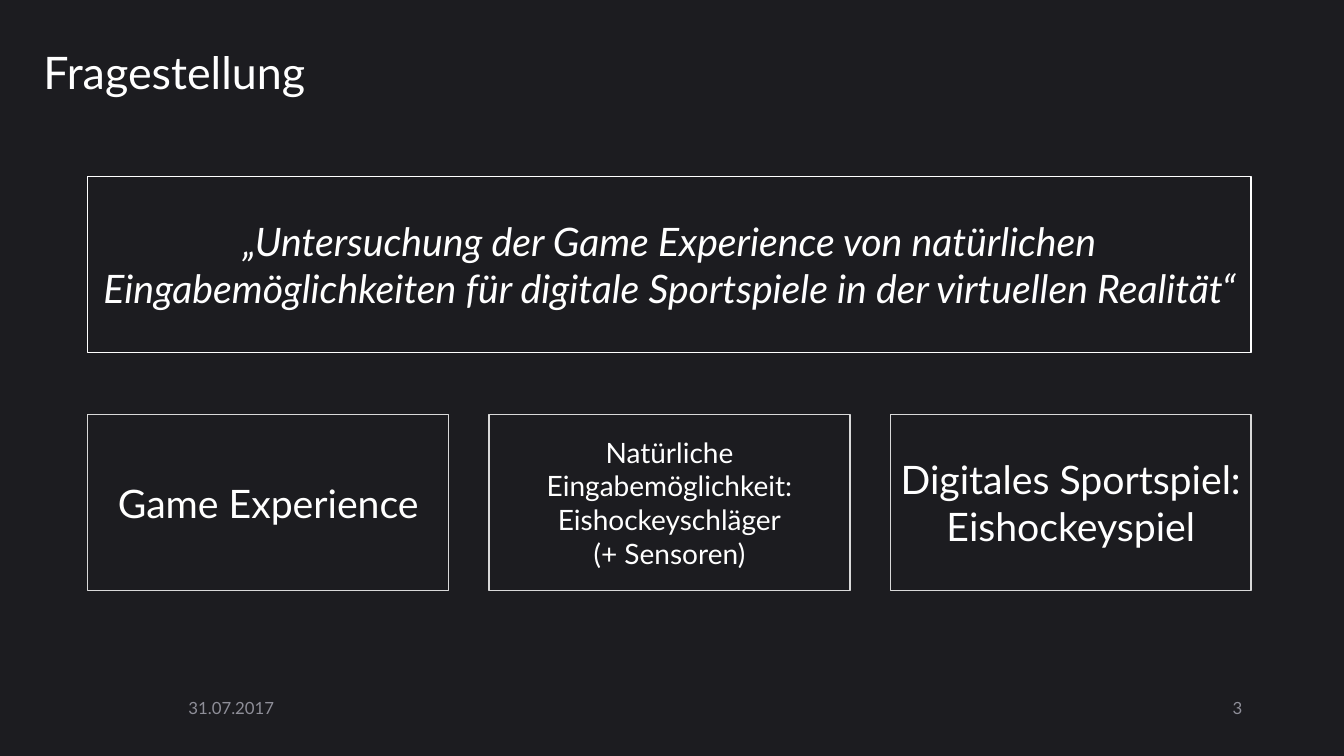
import pptx
import pptx.dml.color
import pptx.enum.shapes
import pptx.enum.text
import pptx.util

Inches = pptx.util.Inches
RGBColor = pptx.dml.color.RGBColor
Align = pptx.enum.text.PP_ALIGN
Anchor = pptx.enum.text.MSO_ANCHOR

BACKGROUND = RGBColor(0x1C, 0x1C, 0x20)
WHITE = RGBColor(0xFF, 0xFF, 0xFF)
CARD_LINE = RGBColor(0xD9, 0xD9, 0xD9)
FOOTER_GREY = RGBColor(0x8E, 0x8E, 0x98)

CARD_GAP = 0.4


def write(holder, lines, size, color=WHITE, align=Align.LEFT, spacing=1.0, italic=False):
    """Fill a shape with one paragraph per line, centred vertically."""
    frame = holder.text_frame
    frame.word_wrap = True
    frame.vertical_anchor = Anchor.MIDDLE
    frame.auto_size = pptx.enum.text.MSO_AUTO_SIZE.NONE
    frame.text = "\n".join(lines)
    font_format = {"name": "Lato", "size": pptx.util.Pt(size), "italic": italic}
    for paragraph in frame.paragraphs:
        paragraph.alignment = align
        paragraph.line_spacing = spacing
        for run in paragraph.runs:
            for attribute, value in font_format.items():
                setattr(run.font, attribute, value)
            run.font.color.rgb = color


def add_title(slide, box, wording):
    title = slide.shapes.title
    for attribute, value in zip(("left", "top", "width", "height"), box):
        setattr(title, attribute, Inches(value))
    write(title, [wording], 32, spacing=0.9)


def add_frame(slide, box, lines, size, outline, italic=False):
    """Outlined rectangle with centred text."""
    frame = slide.shapes.add_shape(
        pptx.enum.shapes.MSO_SHAPE.RECTANGLE, *map(Inches, box))
    frame.shadow.inherit = False
    frame.fill.background()
    frame.line.color.rgb = outline
    frame.line.width = pptx.util.Pt(1)
    write(frame, lines, size, align=Align.CENTER, italic=italic)


def add_cards(slide, box, cards):
    """Row of equally wide cards that fills the box."""
    left, top, width, height = box
    card_width = (width - CARD_GAP * (len(cards) - 1)) / len(cards)
    for index, (lines, size) in enumerate(cards):
        card_left = left + index * (card_width + CARD_GAP)
        add_frame(slide, (card_left, top, card_width, height), lines, size, CARD_LINE)


def add_footer(slide, box, date, number):
    """Date at the left end of the box, slide number at the right end."""
    left, top, width, height = box
    for wording, part_width, offset, align in (
            (date, 2.15, 0, Align.LEFT),
            (number, 3, width - 3, Align.RIGHT)):
        part = slide.shapes.add_textbox(
            *map(Inches, (left + offset, top, part_width, height)))
        write(part, [wording], 12, FOOTER_GREY, align)


def main():
    deck = pptx.Presentation()
    deck.slide_width = Inches(13.33)
    deck.slide_height = Inches(7.5)
    slide = deck.slides.add_slide(deck.slide_layouts.get_by_name("Title Only"))
    slide.background.fill.solid()
    slide.background.fill.fore_color.rgb = BACKGROUND

    add_title(slide, (0.33, 0.34, 12.12, 0.8), "Fragestellung")

    # Research question
    question = ("„Untersuchung der Game Experience von natürlichen Eingabemöglichkeiten "
                "für digitale Sportspiele in der virtuellen Realität“")
    add_frame(slide, (0.87, 1.75, 11.54, 1.75), [question], 28, WHITE, italic=True)

    # Its three aspects
    add_cards(slide, (0.87, 4.11, 11.54, 1.75), [
        (["Game Experience"], 28),
        (["Natürliche Eingabemöglichkeit: Eishockeyschläger", "(+ Sensoren)"], 20),
        (["Digitales Sportspiel: Eishockeyspiel"], 28),
    ])

    add_footer(slide, (1.77, 6.82, 10.65, 0.4), "31.07.2017", "3")
    deck.save("out.pptx")


if __name__ == "__main__":
    main()
